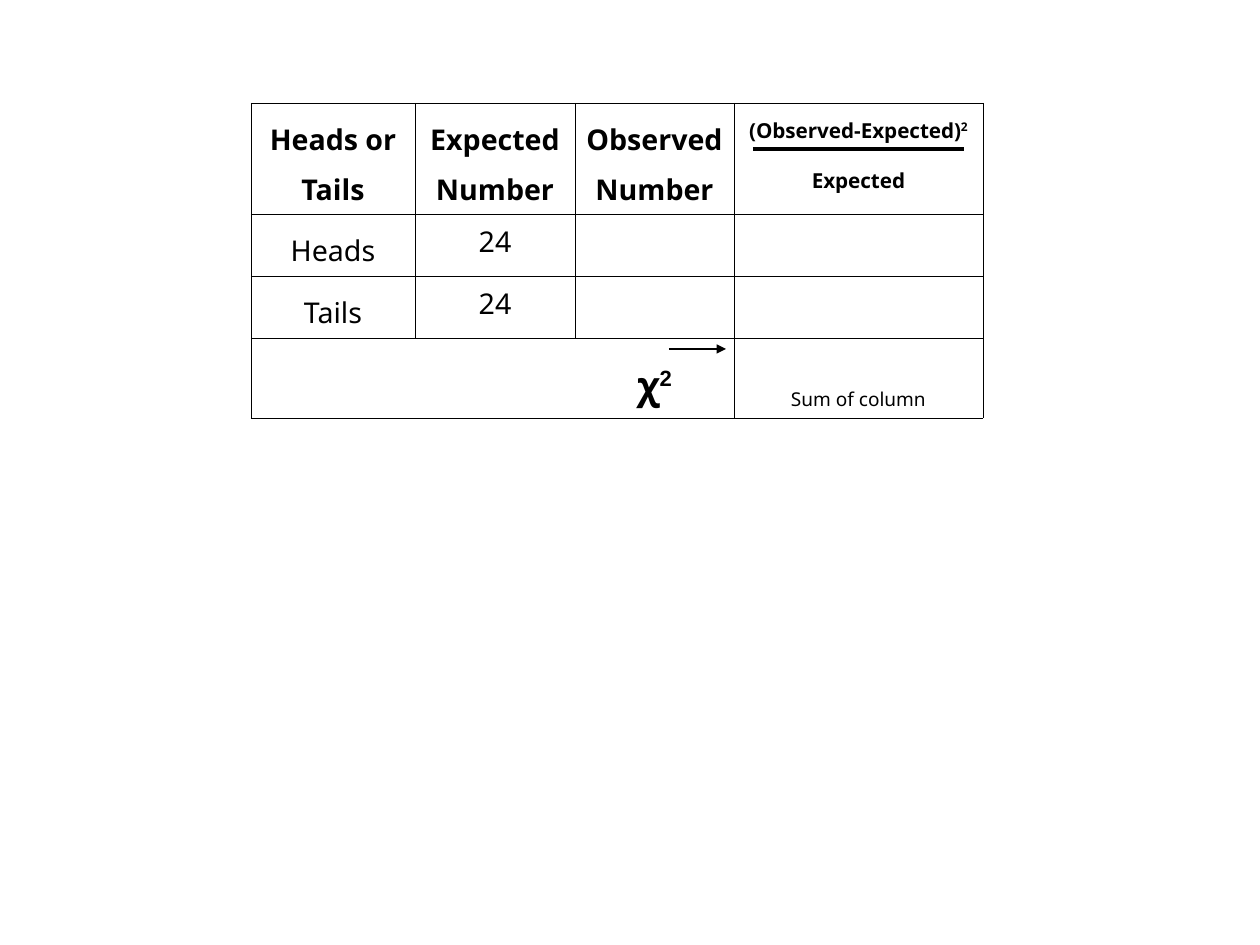
from lxml.etree import SubElement
from pptx import Presentation
from pptx.dml.color import RGBColor
from pptx.enum.shapes import MSO_CONNECTOR
from pptx.enum.text import MSO_ANCHOR, PP_ALIGN
from pptx.oxml.ns import qn
from pptx.util import Pt

PX = 8000
BLACK, WHITE = "000000", "FFFFFF"


def color(target, value):
    target.rgb = RGBColor.from_string(value)


def border(tcPr, side, width):
    ln = SubElement(tcPr, qn(f"a:ln{side}"), w=str(Pt(width)))
    if width:
        fill = SubElement(ln, qn("a:solidFill"))
        SubElement(fill, qn("a:srgbClr"), val=BLACK)
    else:
        SubElement(ln, qn("a:noFill"))


prs = Presentation()
prs.slide_width, prs.slide_height = 1260 * PX, 945 * PX
s = prs.slides.add_slide(prs.slide_layouts[6])

head = {"size": Pt(18), "bold": True, "name": "Noto Sans"}
formula = {**head, "size": Pt(13)}
label = {**head, "bold": False}
chi = {**head, "size": Pt(24)}
power = {**chi, "name": "Arial"}
note = {**label, "size": Pt(12)}

rows = [
    [
        [[("Heads or Tails", head)]],
        [[("Expected Number", head)]],
        [[("Observed Number", head)]],
        [[("(Observed-Expected)", formula), ("2", formula)], [("Expected", formula)]],
    ],
    [[[("Heads", label)]], [[("24", label)]], [], []],
    [[[("Tails", label)]], [[("24", label)]], [], []],
    [[], [], [[("χ", chi), ("2", power)]], [[("Sum of column", note)]]],
]
widths = [164, 160, 159, 249]
heights = [111, 62, 61, 80]
spacing = {"24": 1.05, "Sum of column": 1.13}

table = s.shapes.add_table(
    4, 4, 251 * PX, 103 * PX, sum(widths) * PX, sum(heights) * PX
).table
table.first_row = table.horz_banding = False
for column, width in zip(table.columns, widths):
    column.width = width * PX
for row, height in zip(table.rows, heights):
    row.height = height * PX

for i, row in enumerate(rows):
    for j, paragraphs in enumerate(row):
        cell = table.cell(i, j)
        tcPr = cell._tc.get_or_add_tcPr()
        total_label = i == 3 and j < 3
        edges = {
            "L": 0 if total_label and j > 0 else 0.28 if i == 3 else 0.06,
            "R": 0 if total_label and j < 2 else 0.28 if total_label else 0.06,
            "T": 0.28 if total_label else 0.06,
            "B": 0.28 if total_label or (i == 2 and j < 3) else 0.06,
        }
        for side, width in edges.items():
            border(tcPr, side, width)
        cell.fill.solid()
        color(cell.fill.fore_color, WHITE)
        cell.margin_left = cell.margin_right = 11 * PX
        cell.margin_top = cell.margin_bottom = 6 * PX
        cell.vertical_anchor = MSO_ANCHOR.BOTTOM if (i, j) == (3, 3) else MSO_ANCHOR.TOP
        tf = cell.text_frame
        for k, runs in enumerate(paragraphs):
            p = tf.add_paragraph() if k else tf.paragraphs[0]
            p.alignment = PP_ALIGN.CENTER
            p.line_spacing = spacing.get(runs[0][0], 1.28)
            if k:
                p.space_before = Pt(8.5)
            for text, style in runs:
                r = p.add_run()
                r.text = text
                for name, value in style.items():
                    setattr(r.font, name, value)
                color(r.font.color, BLACK)
                if text == "2":
                    r.font._element.set("baseline", "33000")

for x1, x2, y, width, arrow in [
    (753, 964, 149, 3, False),
    (669, 726, 349, 0.75, True),
]:
    line = s.shapes.add_connector(
        MSO_CONNECTOR.STRAIGHT, x1 * PX, y * PX, x2 * PX, y * PX
    )
    line.line.width = Pt(width)
    color(line.line.color, BLACK)
    if arrow:
        SubElement(line.line._get_or_add_ln(), qn("a:tailEnd"), type="triangle")
    SubElement(line._element.spPr, qn("a:effectLst"))

prs.save("out.pptx")
